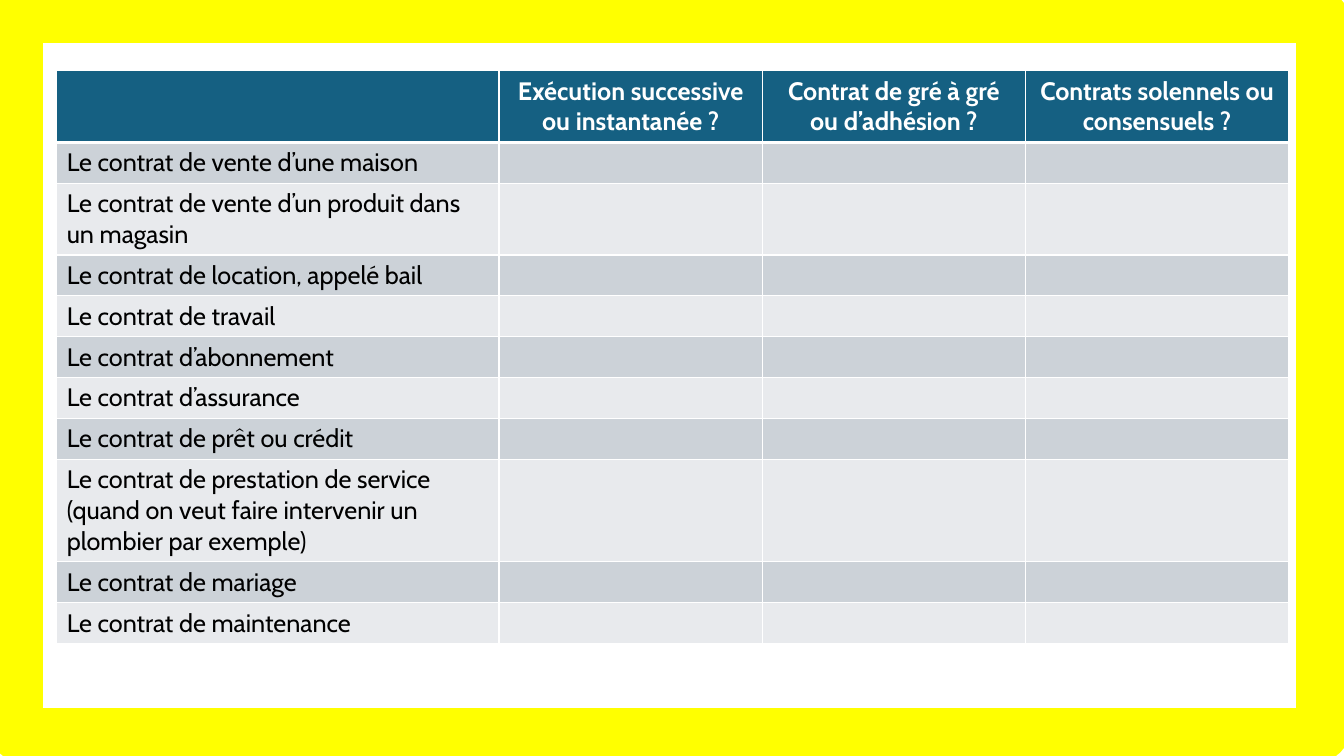
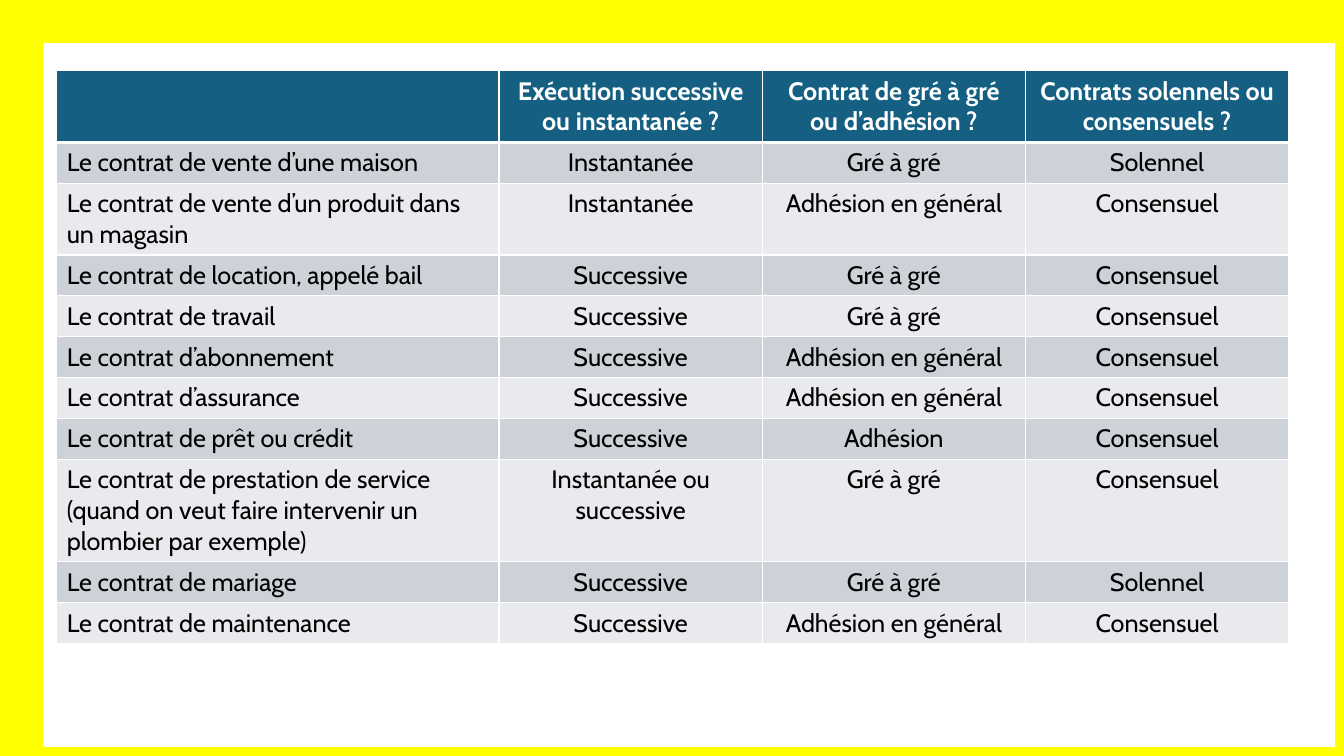
from lxml.etree import SubElement
from pptx import Presentation
from pptx.dml.color import RGBColor
from pptx.enum.shapes import MSO_SHAPE
from pptx.enum.text import PP_ALIGN
from pptx.oxml.ns import qn
from pptx.util import Pt

COLORS = {
    "header": "156082",
    "band_dark": "CCD2D8",
    "band_light": "E8EAED",
    "border": "FFFFFF",
    "header_text": "FFFFFF",
    "text": "000000",
    "frame": "FFFF00",
}
FONT = "Cabin"
FONT_SIZE = 18
SLIDE_WIDTH, SLIDE_HEIGHT = 960, 540
FRAME_INSET = 12.25
FRAME_LINE = 37.25
TABLE_LEFT, TABLE_TOP = 40.5, 50.5
COLUMN_WIDTHS = [316, 188, 188, 188]
ROW_HEIGHT = 29.2
LINE_HEIGHT = 22

HEADERS = [
    "",
    "Exécution successive ou instantanée ?",
    "Contrat de gré à gré ou d’adhésion ?",
    "Contrats solennels ou consensuels ?",
]
CONTRACTS = [
    ("Le contrat de vente d’une maison", "Instantanée", "Gré à gré", "Solennel"),
    ("Le contrat de vente d’un produit dans un magasin", "Instantanée", "Adhésion en général", "Consensuel"),
    ("Le contrat de location, appelé bail", "Successive", "Gré à gré", "Consensuel"),
    ("Le contrat de travail", "Successive", "Gré à gré", "Consensuel"),
    ("Le contrat d’abonnement", "Successive", "Adhésion en général", "Consensuel"),
    ("Le contrat d’assurance", "Successive", "Adhésion en général", "Consensuel"),
    ("Le contrat de prêt ou crédit", "Successive", "Adhésion", "Consensuel"),
    (
        "Le contrat de prestation de service (quand on veut faire intervenir un plombier par exemple)",
        "Instantanée ou successive",
        "Gré à gré",
        "Consensuel",
    ),
    ("Le contrat de mariage", "Successive", "Gré à gré", "Solennel"),
    ("Le contrat de maintenance", "Successive", "Adhésion en général", "Consensuel"),
]
LINE_COUNTS = [2, 1, 2, 1, 1, 1, 1, 1, 3, 1, 1]


def rgb(name):
    return RGBColor.from_string(COLORS[name])


def set_borders(cell, top, bottom):
    properties = cell._tc.get_or_add_tcPr()
    for side, width in (("L", 1), ("R", 1), ("T", top), ("B", bottom)):
        line = SubElement(properties, qn(f"a:ln{side}"), w=str(Pt(width)))
        fill = SubElement(line, qn("a:solidFill"))
        SubElement(fill, qn("a:srgbClr"), val=COLORS["border"])


def style_cell(cell, text, row, column):
    is_header = row == 0
    set_borders(cell, top=3 if row == 1 else 1, bottom=3 if is_header else 1)
    band = "band_dark" if row % 2 else "band_light"
    cell.fill.solid()
    cell.fill.fore_color.rgb = rgb("header" if is_header else band)
    cell.text = text
    paragraph = cell.text_frame.paragraphs[0]
    paragraph.alignment = PP_ALIGN.CENTER if column else PP_ALIGN.LEFT
    font = paragraph.font
    font.name = FONT
    font.size = Pt(FONT_SIZE)
    font.bold = is_header
    font.color.rgb = rgb("header_text" if is_header else "text")


def add_contract_table(slide, left, top, show_answers):
    rows = [HEADERS] + [
        contract if show_answers else (contract[0], "", "", "")
        for contract in CONTRACTS
    ]
    heights = [ROW_HEIGHT + LINE_HEIGHT * (count - 1) for count in LINE_COUNTS]
    table = slide.shapes.add_table(
        len(rows), len(COLUMN_WIDTHS), Pt(left), Pt(top),
        Pt(sum(COLUMN_WIDTHS)), Pt(sum(heights)),
    ).table
    for column, width in zip(table.columns, COLUMN_WIDTHS):
        column.width = Pt(width)
    for row_index, (texts, height) in enumerate(zip(rows, heights)):
        table.rows[row_index].height = Pt(height)
        for column_index, text in enumerate(texts):
            style_cell(table.cell(row_index, column_index), text, row_index, column_index)


def add_frame(slide, left, top, width, height):
    shape = slide.shapes.add_shape(
        MSO_SHAPE.RECTANGLE, Pt(left), Pt(top), Pt(width), Pt(height)
    )
    shape.shadow.inherit = False
    shape.fill.background()
    shape.line.color.rgb = rgb("frame")
    shape.line.width = Pt(FRAME_LINE)


def add_contract_slide(presentation, frame_size, show_answers):
    slide = presentation.slides.add_slide(presentation.slide_layouts[6])
    add_contract_table(slide, TABLE_LEFT, TABLE_TOP, show_answers)
    add_frame(slide, FRAME_INSET, FRAME_INSET, *frame_size)


def main():
    presentation = Presentation()
    presentation.slide_width = Pt(SLIDE_WIDTH)
    presentation.slide_height = Pt(SLIDE_HEIGHT)
    add_contract_slide(presentation, (932, 512), show_answers=False)
    add_contract_slide(presentation, (SLIDE_WIDTH, SLIDE_HEIGHT), show_answers=True)
    presentation.save("out.pptx")


if __name__ == "__main__":
    main()
